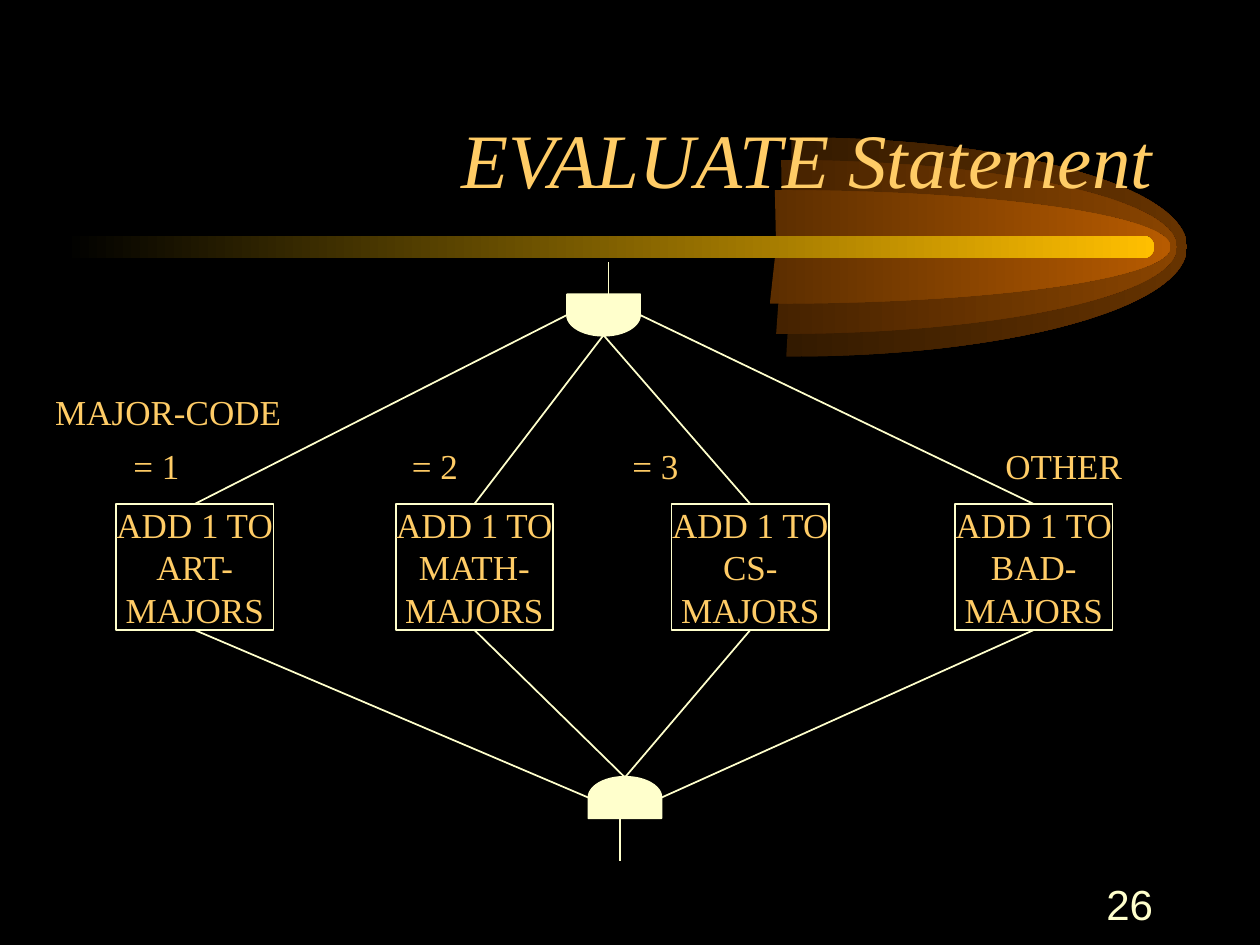
from lxml.etree import SubElement
from pptx import Presentation
from pptx.dml.color import RGBColor
from pptx.enum.shapes import MSO_CONNECTOR, MSO_SHAPE
from pptx.enum.text import MSO_ANCHOR, PP_ALIGN
from pptx.oxml.ns import qn
from pptx.util import Inches, Pt

BLACK = RGBColor(0, 0, 0)
GOLD = RGBColor(0xFF, 0xCC, 0x66)
CREAM = RGBColor(0xFF, 0xFF, 0xCC)
AMBER = RGBColor(0xFF, 0xBF, 0x00)
SERIF, SANS = "Times New Roman", "Arial"

# Content
TITLE = "EVALUATE Statement"
PAGE = "26"
# box left, counter name
BRANCHES = [(0.92, "ART-"), (3.14, "MATH-"), (5.33, "CS-"), (7.58, "BAD-")]
# text, left, top, width
LABELS = [
    ("MAJOR-CODE", 0.34, 3.05, 2.06),
    ("= 1", 0.96, 3.48, 0.6),
    ("= 2", 3.17, 3.48, 0.6),
    ("= 3", 4.92, 3.48, 0.6),
    ("OTHER", 7.88, 3.48, 1.29),
]
# centre x, half height, colour at the right, colour at the left
COMET = [
    (6.29, 0.87, RGBColor(0x66, 0x33, 0x00), RGBColor(0x33, 0x1A, 0x00)),
    (6.21, 0.69, RGBColor(0x89, 0x44, 0x00), RGBColor(0x45, 0x22, 0x00)),
    (6.16, 0.45, RGBColor(0xB7, 0x5B, 0x00), RGBColor(0x5C, 0x2E, 0x00)),
]
COMET_Y, COMET_RX = 1.96, 3.13
KAPPA = 0.55  # handle length of a quarter-ellipse curve
BOX_Y, BOX_W, BOX_H = 4, 1.25, 1
GATE_W, GATE_H = 0.33, 0.58
# centre x, centre y, rotation
GATES = [(4.79, 2.5, 90), (4.96, 6.33, 270)]
STEMS = [(4.83, 2.33, 2.08), (4.92, 6.5, 6.83)]
# gate points that the four branches leave from and return to
SPLIT = [(4.5, 2.5), (4.79, 2.66), (4.79, 2.66), (5.08, 2.5)]
JOIN = [(4.67, 6.33), (4.96, 6.17), (4.96, 6.17), (5.25, 6.33)]

prs = Presentation()
prs.slide_width, prs.slide_height = Inches(10), Inches(7.5)
s = prs.slides.add_slide(prs.slide_layouts[5])
s.background.fill.solid()
s.background.fill.fore_color.rgb = BLACK


def place(sp, left, top, width, height):
    sp.left, sp.top = Inches(left), Inches(top)
    sp.width, sp.height = Inches(width), Inches(height)


def write(sp, lines, size, font=SERIF, color=GOLD, align=PP_ALIGN.LEFT,
          anchor=MSO_ANCHOR.TOP, wrap=False, italic=False):
    tf = sp.text_frame
    tf.text = "\n".join(lines)
    tf.word_wrap, tf.vertical_anchor = wrap, anchor
    for p in tf.paragraphs:
        p.alignment = align
        p.font.name, p.font.size, p.font.italic = font, Pt(size), italic
        p.font.color.rgb = color


def outline(sp):
    sp.shadow.inherit = False
    sp.line.color.rgb, sp.line.width = CREAM, Pt(1)


def fade(sp, left_color, right_color):
    sp.shadow.inherit = False
    sp.line.fill.background()
    sp.fill.gradient()
    sp.fill.gradient_angle = 0
    for stop, color in zip(sp.fill.gradient_stops, (left_color, right_color)):
        stop.color.rgb = color


def half_ellipse(cx, ry):
    """Right half of an ellipse: two curves, closed through the centre."""
    right, handle = cx + COMET_RX, cx + KAPPA * COMET_RX
    top, bottom = COMET_Y - ry, COMET_Y + ry
    points = [(handle, top), (right, COMET_Y - KAPPA * ry), (right, COMET_Y),
              (right, COMET_Y + KAPPA * ry), (handle, bottom),
              (cx - 0.05, bottom), (cx, COMET_Y)]
    builder = s.shapes.build_freeform(Inches(cx - 0.01), Inches(top))
    builder.add_line_segments([(Inches(x), Inches(y)) for x, y in points])
    sp = builder.convert_to_shape()
    # Turn each three points of the arc into one cubic curve
    segments = list(sp._element.iter(qn("a:lnTo")))
    for trio in (segments[:3], segments[3:6]):
        curve = trio[0].makeelement(qn("a:cubicBezTo"))
        trio[0].addprevious(curve)
        for segment in trio:
            curve.append(segment[0])
            segment.getparent().remove(segment)
    return sp


def connect(start, end):
    line = s.shapes.add_connector(MSO_CONNECTOR.STRAIGHT,
                                  *map(Inches, start + end))
    line.line.color.rgb, line.line.width = CREAM, Pt(1)
    SubElement(line._element.spPr, qn("a:effectLst"))
    return line


# Comet behind the title: three half ellipses and a bar
for cx, ry, right_color, left_color in COMET:
    fade(half_ellipse(cx, ry), left_color, right_color)

bar = s.shapes.add_shape(MSO_SHAPE.ROUNDED_RECTANGLE, 0, 0, 0, 0)
place(bar, 0.5, 1.87, 8.66, 0.18)
bar.adjustments[0] = 0.5
fade(bar, BLACK, AMBER)

# Title, brought in front of the comet
title = s.shapes.title
place(title, 0.75, 0.42, 8.5, 1.25)
write(title, [TITLE], 44, align=PP_ALIGN.RIGHT, anchor=MSO_ANCHOR.BOTTOM,
      wrap=True, italic=True)
s.shapes._spTree.append(title._element)

# Gates and their stems
for cx, cy, angle in GATES:
    gate = s.shapes.add_shape(MSO_SHAPE.FLOWCHART_DELAY, 0, 0, 0, 0)
    place(gate, cx - GATE_W / 2, cy - GATE_H / 2, GATE_W, GATE_H)
    gate.rotation = angle
    gate.fill.solid()
    gate.fill.fore_color.rgb = CREAM
    outline(gate)
for x, y1, y2 in STEMS:
    connect((x, y1), (x, y2))

# Branch boxes, joined to both gates
for (left, counter), split, join in zip(BRANCHES, SPLIT, JOIN):
    box = s.shapes.add_shape(MSO_SHAPE.RECTANGLE, 0, 0, 0, 0)
    place(box, left, BOX_Y, BOX_W, BOX_H)
    box.fill.background()
    outline(box)
    write(box, ["ADD 1 TO", counter, "MAJORS"], 20, align=PP_ALIGN.CENTER,
          anchor=MSO_ANCHOR.MIDDLE)
    middle = left + BOX_W / 2
    connect(split, (middle, BOX_Y)).end_connect(box, 0)
    connect((middle, BOX_Y + BOX_H), join).begin_connect(box, 2)

# Branch conditions
for text, left, top, width in LABELS:
    label = s.shapes.add_textbox(0, 0, 0, 0)
    place(label, left, top, width, 0.44)
    write(label, [text], 20)

# Page number
number = s.shapes.add_textbox(0, 0, 0, 0)
place(number, 7.17, 6.92, 2.08, 0.5)
write(number, [PAGE], 24, SANS, CREAM, PP_ALIGN.RIGHT, MSO_ANCHOR.MIDDLE,
      wrap=True)

prs.save("out.pptx")
